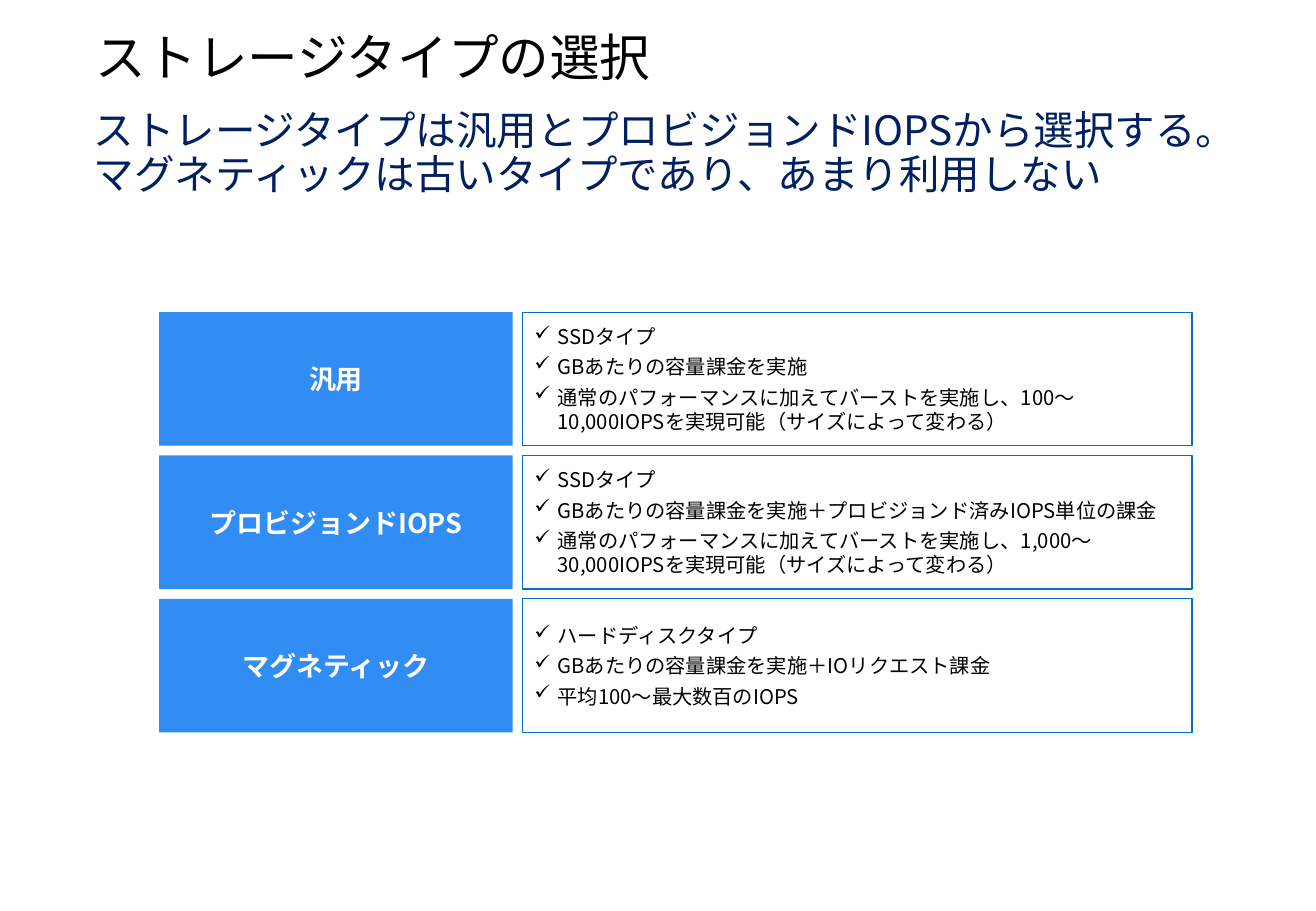
from dataclasses import dataclass

from lxml.etree import SubElement
from pptx import Presentation
from pptx.dml.color import RGBColor
from pptx.enum.shapes import MSO_SHAPE
from pptx.enum.text import MSO_ANCHOR, PP_ALIGN
from pptx.oxml.ns import qn
from pptx.util import Inches, Pt


@dataclass(frozen=True)
class Theme:
    """Colours, font and type sizes of the slide."""
    font: str = "Noto Sans CJK JP"
    black: str = "000000"
    white: str = "FFFFFF"
    navy: str = "002060"
    label_fill: str = "318CF3"
    border: str = "0070C0"
    title_size: float = 30
    message_size: float = 24
    label_size: float = 16
    detail_size: float = 12


THEME = Theme()
STORAGE_TYPES = [
    ("汎用", [
        "SSDタイプ",
        "GBあたりの容量課金を実施",
        "通常のパフォーマンスに加えてバーストを実施し、100～10,000IOPSを実現可能（サイズによって変わる）",
    ]),
    ("プロビジョンドIOPS", [
        "SSDタイプ",
        "GBあたりの容量課金を実施＋プロビジョンド済みIOPS単位の課金",
        "通常のパフォーマンスに加えてバーストを実施し、1,000～30,000IOPSを実現可能（サイズによって変わる）",
    ]),
    ("マグネティック", [
        "ハードディスクタイプ",
        "GBあたりの容量課金を実施＋IOリクエスト課金",
        "平均100～最大数百のIOPS",
    ]),
]


def apply_format(target, values):
    """Set each named attribute on the target."""
    for name, value in values.items():
        setattr(target, name, value)


def write_span(para, text, size, color, bold=False):
    """Add one formatted span of text to a paragraph."""
    span = para.add_run()
    span.text = text
    apply_format(span.font, {"size": Pt(size), "bold": bold, "name": THEME.font})
    span.font.color.rgb = RGBColor.from_string(color)
    SubElement(span.font._element, qn("a:ea"), typeface=THEME.font)


def add_check_mark(para):
    """Give a paragraph a hanging check mark."""
    properties = para._p.get_or_add_pPr()
    apply_indent = {"marL": Inches(0.19), "indent": Inches(-0.19)}
    for name, value in apply_indent.items():
        properties.set(name, str(int(value)))
    SubElement(properties, qn("a:buChar"), char="✓")


def add_heading(page, box, text, size, color, inset):
    """Place a left-aligned heading in the given box."""
    frame = page.shapes.add_textbox(*map(Inches, box)).text_frame
    side, edge = map(Inches, inset)
    apply_format(frame, {
        "word_wrap": True, "vertical_anchor": MSO_ANCHOR.TOP,
        "margin_left": side, "margin_right": side,
        "margin_top": edge, "margin_bottom": edge,
    })
    para = frame.paragraphs[0]
    para.line_spacing = 0.9
    write_span(para, text, size, color)


def add_panel(page, box, fill, border=None):
    """Draw a filled rectangle and return its text frame."""
    panel = page.shapes.add_shape(MSO_SHAPE.RECTANGLE, *map(Inches, box))
    panel.shadow.inherit = False
    panel.fill.solid()
    panel.fill.fore_color.rgb = RGBColor.from_string(fill)
    if border:
        panel.line.color.rgb = RGBColor.from_string(border)
        panel.line.width = Pt(0.75)
    else:
        panel.line.fill.background()
    apply_format(panel.text_frame, {"word_wrap": True, "vertical_anchor": MSO_ANCHOR.MIDDLE})
    return panel.text_frame


def add_storage_row(page, box, label, details):
    """Place a storage type label and its checked details side by side."""
    left, top, width, height = box
    label_width, gap = 2.91, 0.08
    detail_left = left + label_width + gap
    detail_width = width - label_width - gap

    label_para = add_panel(page, (left, top, label_width, height), THEME.label_fill).paragraphs[0]
    label_para.alignment = PP_ALIGN.CENTER
    write_span(label_para, label, THEME.label_size, THEME.white, bold=True)

    frame = add_panel(page, (detail_left, top, detail_width, height), THEME.white, THEME.border)
    for index, detail in enumerate(details):
        para = frame.add_paragraph() if index else frame.paragraphs[0]
        add_check_mark(para)
        apply_format(para, {"alignment": PP_ALIGN.LEFT, "space_before": Pt(3.6 if index else 0)})
        write_span(para, detail, THEME.detail_size, THEME.black)


def add_storage_rows(page, box):
    """Stack the storage types at equal steps in the given box."""
    left, top, width, height = box
    gap = 0.08
    row_height = (height - gap * (len(STORAGE_TYPES) - 1)) / len(STORAGE_TYPES)
    for index, (label, details) in enumerate(STORAGE_TYPES):
        row_top = top + index * (row_height + gap)
        add_storage_row(page, (left, row_top, width, row_height), label, details)


def main():
    """Build and save the storage type slide."""
    deck = Presentation()
    apply_format(deck, {"slide_width": Inches(10.83), "slide_height": Inches(7.5)})
    page = deck.slides.add_slide(deck.slide_layouts[6])
    add_heading(page, (0.69, 0.22, 9.45, 0.55), "ストレージタイプの選択",
                THEME.title_size, THEME.black, (0.1, 0.05))
    add_heading(page, (0.69, 0.87, 9.69, 0.36),
                "ストレージタイプは汎用とプロビジョンドIOPSから選択する。マグネティックは古いタイプであり、あまり利用しない",
                THEME.message_size, THEME.navy, (0.08, 0.04))
    add_storage_rows(page, (1.31, 2.57, 8.5, 3.46))
    deck.save("out.pptx")


if __name__ == "__main__":
    main()
